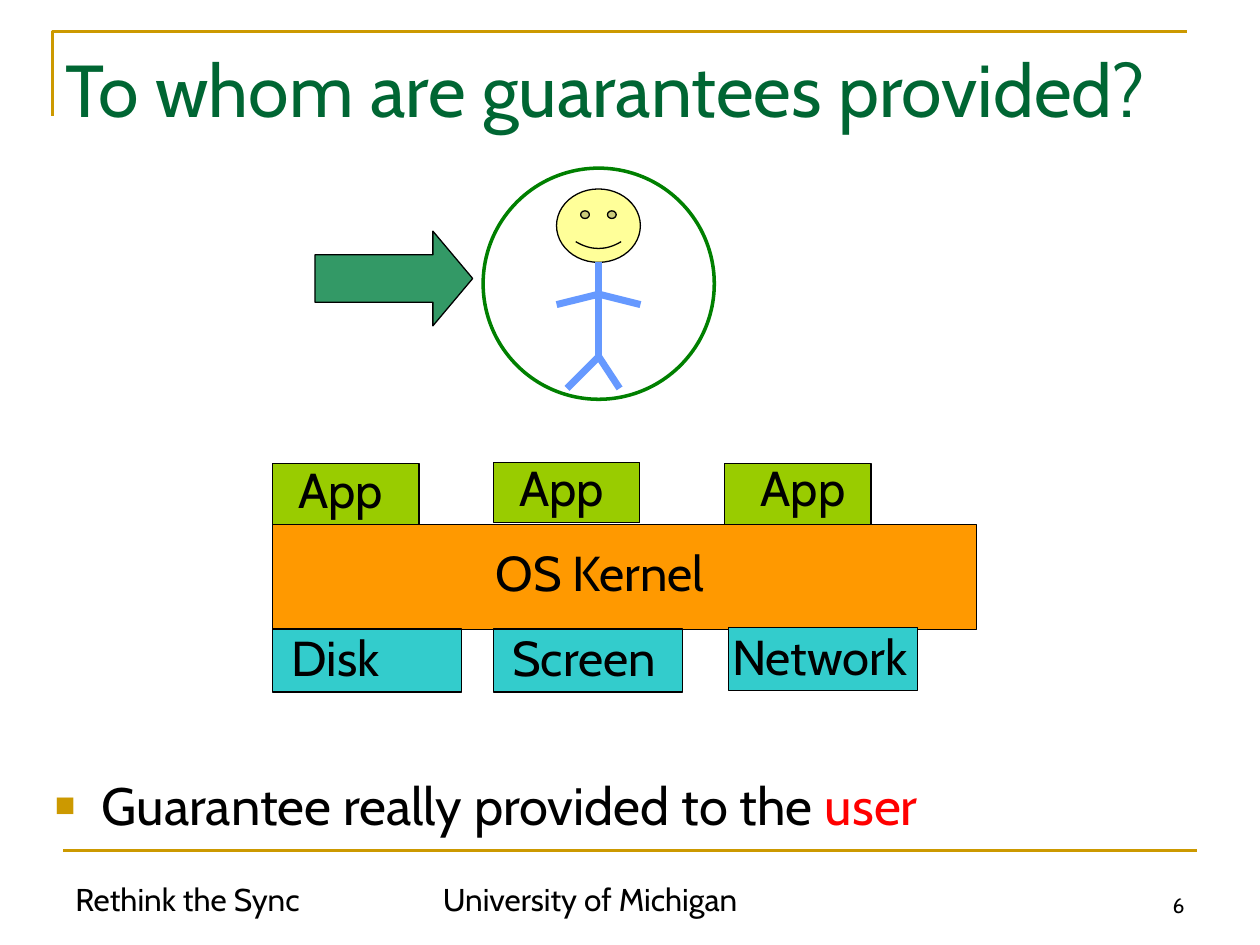
from lxml import etree
from pptx import Presentation
from pptx.dml.color import RGBColor
from pptx.enum import shapes, text
from pptx.oxml.ns import qn
from pptx.util import Cm, Pt

HUES = {
    "black": "000000", "gold": "CC9900", "title": "006633", "red": "FF0000",
    "kernel": "FF9900", "device": "33CCCC", "app": "99CC00", "face": "FFFF99",
    "limb": "6699FF", "ring": "008000", "arrow": "339966",
}
FORMS = shapes.MSO_SHAPE
ALIGN = text.PP_ALIGN
ANCHOR = text.MSO_ANCHOR


def tint(name):
    return RGBColor.from_string(HUES[name])


def put(item, values):
    for key, value in values.items():
        setattr(item, key, value)


class Deck:
    font = "Cabin"

    def __init__(self):
        self.prs = Presentation()
        put(self.prs, {"slide_width": Cm(25.4), "slide_height": Cm(19.05)})
        self.slide = self.prs.slides.add_slide(self.prs.slide_layouts[1])
        self.root = self.slide.shapes

    def fill_in(self, frame, runs, size, align=ALIGN.LEFT, anchor=ANCHOR.TOP):
        put(frame, {"word_wrap": True, "auto_size": text.MSO_AUTO_SIZE.NONE,
                    "vertical_anchor": anchor})
        para = frame.paragraphs[0]
        put(para, {"alignment": align, "space_before": Pt(0)})
        for words, hue in runs:
            run = para.add_run()
            run.text = words
            put(run.font, {"name": self.font, "size": Pt(size)})
            run.font.color.rgb = tint(hue)
        return para

    def holder(self, index, box, runs, size):
        item = self.slide.placeholders[index]
        put(item, dict(zip(("left", "top", "width", "height"), map(Cm, box))))
        return self.fill_in(item.text_frame, runs, size)

    def bullet(self, para, mark, hue, scale):
        props = para._p.get_or_add_pPr()
        props.set("marL", str(Cm(0.95)))
        props.set("indent", str(-Cm(0.95)))
        color = etree.SubElement(props, qn("a:buClr"))
        etree.SubElement(color, qn("a:srgbClr"), val=HUES[hue])
        etree.SubElement(props, qn("a:buSzPct"), val=str(scale * 1000))
        etree.SubElement(props, qn("a:buChar"), char=mark)

    def label(self, box, words, size=28, **style):
        item = self.root.add_textbox(*map(Cm, box))
        self.fill_in(item.text_frame, [(words, "black")], size, **style)

    def shape(self, form, box, fill=None, line="black", width=0.75, home=None):
        item = (home or self.root).add_shape(form, *map(Cm, box))
        self.paint(item, fill, line, width)
        return item

    def paint(self, item, fill, line, width):
        item.shadow.inherit = False
        if fill:
            item.fill.solid()
            item.fill.fore_color.rgb = tint(fill)
        else:
            item.fill.background()
        item.line.color.rgb = tint(line)
        item.line.width = Pt(width)

    def line(self, start, end, hue, width, home=None):
        item = (home or self.root).add_connector(
            shapes.MSO_CONNECTOR.STRAIGHT, *map(Cm, start + end))
        item.line.color.rgb = tint(hue)
        item.line.width = Pt(width)
        etree.SubElement(item._element.spPr, qn("a:effectLst"))

    def corner(self, points, hue, width):
        first, *rest = [tuple(map(Cm, point)) for point in points]
        build = self.root.build_freeform(*first)
        build.add_line_segments(rest, close=False)
        self.paint(build.convert_to_shape(), None, hue, width)


def main():
    deck = Deck()

    # Frame lines and footer
    deck.corner([(1.06, 2.33), (1.06, 0.64), (23.92, 0.64)], "gold", 1.5)
    deck.line((1.27, 17.15), (24.13, 17.15), "gold", 1.5)
    for left, wide, words, size, align in (
        (1.27, 5.93, "Rethink the Sync", 18, ALIGN.LEFT),
        (8.68, 8.04, "University of Michigan", 18, ALIGN.LEFT),
        (18.2, 5.93, "6", 12, ALIGN.RIGHT),
    ):
        deck.label((left, 17.36, wide, 1.27), words, size,
                   align=align, anchor=ANCHOR.BOTTOM)

    # Title and closing point
    deck.holder(0, (1.06, 0.76, 24.13, 3.18),
                [("To whom are guarantees provided?", "title")], 42)
    point = deck.holder(1, (0.85, 15.45, 22.86, 2.12),
                        [("Guarantee really provided to the ", "black"),
                         ("user", "red")], 30)
    deck.bullet(point, "■", "gold", 65)

    # Kernel
    deck.shape(FORMS.RECTANGLE, (5.5, 10.57, 14.18, 2.12), "kernel")
    deck.label((9.74, 10.82, 4.88, 1.45), "OS Kernel")

    # Devices below the kernel
    for left, top, inset, wide, words in (
        (5.5, 12.68, 0.13, 3.81, "Disk"),
        (9.95, 12.68, 0.13, 3.81, "Screen"),
        (14.69, 12.65, -0.18, 4.24, "Network"),
    ):
        deck.shape(FORMS.RECTANGLE, (left, top, 3.81, 1.27), "device")
        deck.label((left + inset, top - 0.15, wide, 1.45), words)

    # Apps above the kernel
    for left, top, inset, rise in ((5.5, 9.35, 0, 0.21), (9.95, 9.32, 0, 0.22),
                                   (14.61, 9.35, 0.21, 0.25)):
        deck.shape(FORMS.RECTANGLE, (left, top, 2.95, 1.22), "app")
        deck.label((left + inset, top - rise, 2.74, 1.45), "App",
                   align=ALIGN.CENTER)

    # User: face, spine, arms and legs
    user = deck.root.add_group_shape().shapes
    deck.shape(FORMS.SMILEY_FACE, (11.22, 3.81, 1.69, 1.48), "face", home=user)
    neck, chest, hip = (12.07, 5.29), (12.07, 5.93), (12.07, 7.19)
    for start, end in ((neck, hip), (chest, (12.91, 6.14)),
                       (chest, (11.22, 6.14)), (hip, (11.43, 7.83)),
                       (hip, (12.49, 7.83))):
        deck.line(start, end, "limb", 4, user)

    # Ring and arrow that point out the user
    deck.shape(FORMS.OVAL, (9.74, 3.39, 4.66, 4.66), None, "ring", 2)
    arrow = deck.shape(FORMS.RIGHT_ARROW, (6.35, 4.66, 3.18, 1.91), "arrow")
    arrow.adjustments[1] = 0.42

    deck.prs.save("out.pptx")


if __name__ == "__main__":
    main()
